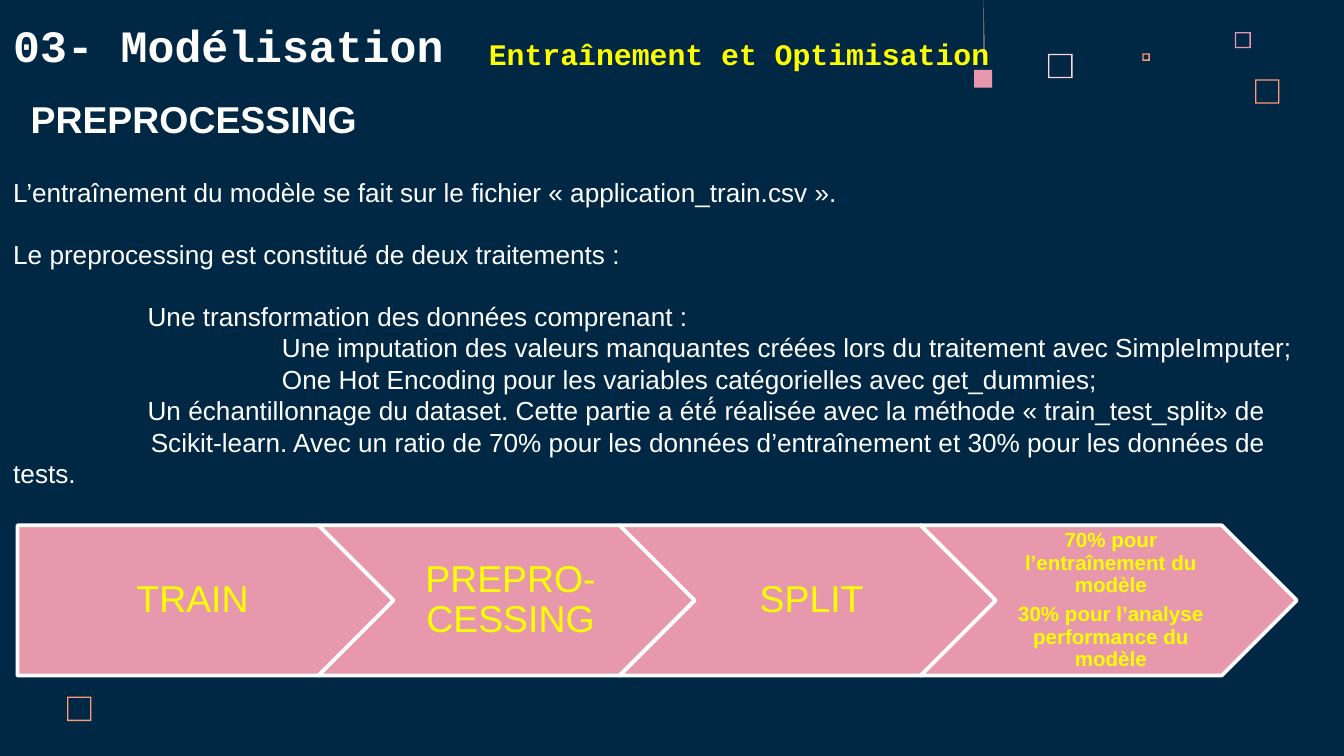
from pptx import Presentation
from pptx.dml.color import RGBColor
from pptx.enum.shapes import MSO_SHAPE as SHAPE
from pptx.enum.text import MSO_ANCHOR as ANCHOR, PP_ALIGN as ALIGN
from pptx.util import Cm, Pt

rgb = RGBColor.from_string
NAVY, WHITE, YELLOW = "002845", "FFFFFF", "FFFF00"
PINK, PALE_PINK, ORANGE = "E898AC", "FFD6E1", "FF9973"


def write(shape, paragraphs, size, color, font="Arial", bold=False, align=ALIGN.LEFT,
          anchor=ANCHOR.TOP, insets=(0.25, 0.13, 0.25, 0.13), spacing=1.0):
    """Fill a shape with (text, first-line indent in cm, space before in pt) paragraphs."""
    frame = shape.text_frame
    frame.word_wrap = True
    frame.vertical_anchor = anchor
    (frame.margin_left, frame.margin_top,
     frame.margin_right, frame.margin_bottom) = map(Cm, insets)
    for i, (text, indent, before) in enumerate(paragraphs):
        paragraph = frame.add_paragraph() if i else frame.paragraphs[0]
        paragraph.alignment = align
        paragraph.line_spacing = spacing
        paragraph.space_before = Pt(before)
        if indent:
            properties = paragraph._p.get_or_add_pPr()
            properties.set("marL", "0")
            properties.set("indent", str(Cm(indent)))
        run = paragraph.add_run()
        run.text = text
        run.font.name, run.font.size, run.font.bold = font, Pt(size), bold
        run.font.color.rgb = rgb(color)


def paint(shape, fill, line=None):
    shape.shadow.inherit = False
    shape.fill.solid()
    shape.fill.fore_color.rgb = rgb(fill)
    if line:
        shape.line.color.rgb = rgb(line)
        shape.line.width = Pt(2)
    else:
        shape.line.fill.background()


deck = Presentation()
deck.slide_width, deck.slide_height = Cm(25.4), Cm(14.29)
slide = deck.slides.add_slide(deck.slide_layouts[6])
slide.background.fill.solid()
slide.background.fill.fore_color.rgb = rgb(NAVY)
shapes = slide.shapes

# Decorative squares
for left, top, side, color in [
    (19.81, 1.02, 0.46, PALE_PINK),
    (23.34, 0.61, 0.3, PINK),
    (21.59, 1.01, 0.14, ORANGE),
    (23.72, 1.5, 0.46, ORANGE),
    (1.27, 13.17, 0.46, ORANGE),
]:
    square = shapes.add_shape(SHAPE.FRAME, Cm(left), Cm(top), Cm(side), Cm(side))
    square.adjustments[0] = 0.025 / side
    paint(square, color)

pendant = shapes.add_shape(SHAPE.RECTANGLE, Cm(18.41), Cm(1.32), Cm(0.34), Cm(0.34))
paint(pendant, PINK)
thread = shapes.build_freeform(Cm(18.59), 0)
thread.add_line_segments([(Cm(18.59), Cm(1.1)), (Cm(18.61), Cm(1.1))])
paint(thread.convert_to_shape(), PALE_PINK)

# Headings
for left, top, width, height, text, style in [
    (0, 0, 19.63, 1.6, "03- Modélisation",
     dict(size=24, color=WHITE, font="Courier New", anchor=ANCHOR.BOTTOM, insets=[0.25] * 4)),
    (8.99, 0.74, 11.58, 0.86, "Entraînement et Optimisation",
     dict(size=16, color=YELLOW, font="Courier New", anchor=ANCHOR.BOTTOM, insets=[0.25] * 4)),
    (0.33, 1.6, 7.72, 1.27, "PREPROCESSING",
     dict(size=20, color=WHITE, anchor=ANCHOR.MIDDLE)),
]:
    heading = shapes.add_textbox(Cm(left), Cm(top), Cm(width), Cm(height))
    write(heading, [(text, 0, 0)], bold=True, **style)

# Explanation, indented by steps of 2.54 cm
explanation = shapes.add_textbox(0, Cm(3.2), Cm(25.4), Cm(6.25))
write(explanation, [
    ("L’entraînement du modèle se fait sur le fichier « application_train.csv ».", 0, 0),
    ("Le preprocessing est constitué de deux traitements :", 0, 16.5),
    ("Une transformation des données comprenant :", 2.54, 16.5),
    ("Une imputation des valeurs manquantes créées lors du traitement avec SimpleImputer;",
     5.08, 0),
    ("One Hot Encoding pour les variables catégorielles avec get_dummies;", 5.08, 0),
    ("Un échantillonnage du dataset. Cette partie a été́ réalisée avec la méthode "
     "« train_test_split» de", 2.54, 0),
    ("Scikit-learn. Avec un ratio de 70% pour les données d’entraînement et 30% pour "
     "les données de tests.", 2.6, 0),
], size=14, color=WHITE)

# Process arrows
step_insets = (0.23, 0.15, 0.08, 0.15)
for i, (outline, lines, style) in enumerate([
    (SHAPE.PENTAGON, ["TRAIN"], dict(size=20, insets=(0.3, 0.15, 0.08, 0.15))),
    (SHAPE.CHEVRON, ["PREPRO-CESSING"], dict(size=20, insets=step_insets)),
    (SHAPE.CHEVRON, ["SPLIT"], dict(size=20, insets=step_insets)),
    (SHAPE.CHEVRON,
     ["70% pour l’entraînement du modèle", "30% pour l’analyse performance du modèle"],
     dict(size=11, bold=True, insets=(0.13, 0.08, 0.05, 0.08))),
]):
    arrow = shapes.add_shape(outline, Cm(0.33 + 5.69 * i), Cm(9.93), Cm(7.11), Cm(2.84))
    paint(arrow, PINK, WHITE)
    write(arrow, [(line, 0, 4 if n else 0) for n, line in enumerate(lines)],
          color=YELLOW, align=ALIGN.CENTER, anchor=ANCHOR.MIDDLE, spacing=0.9, **style)

deck.save("out.pptx")
